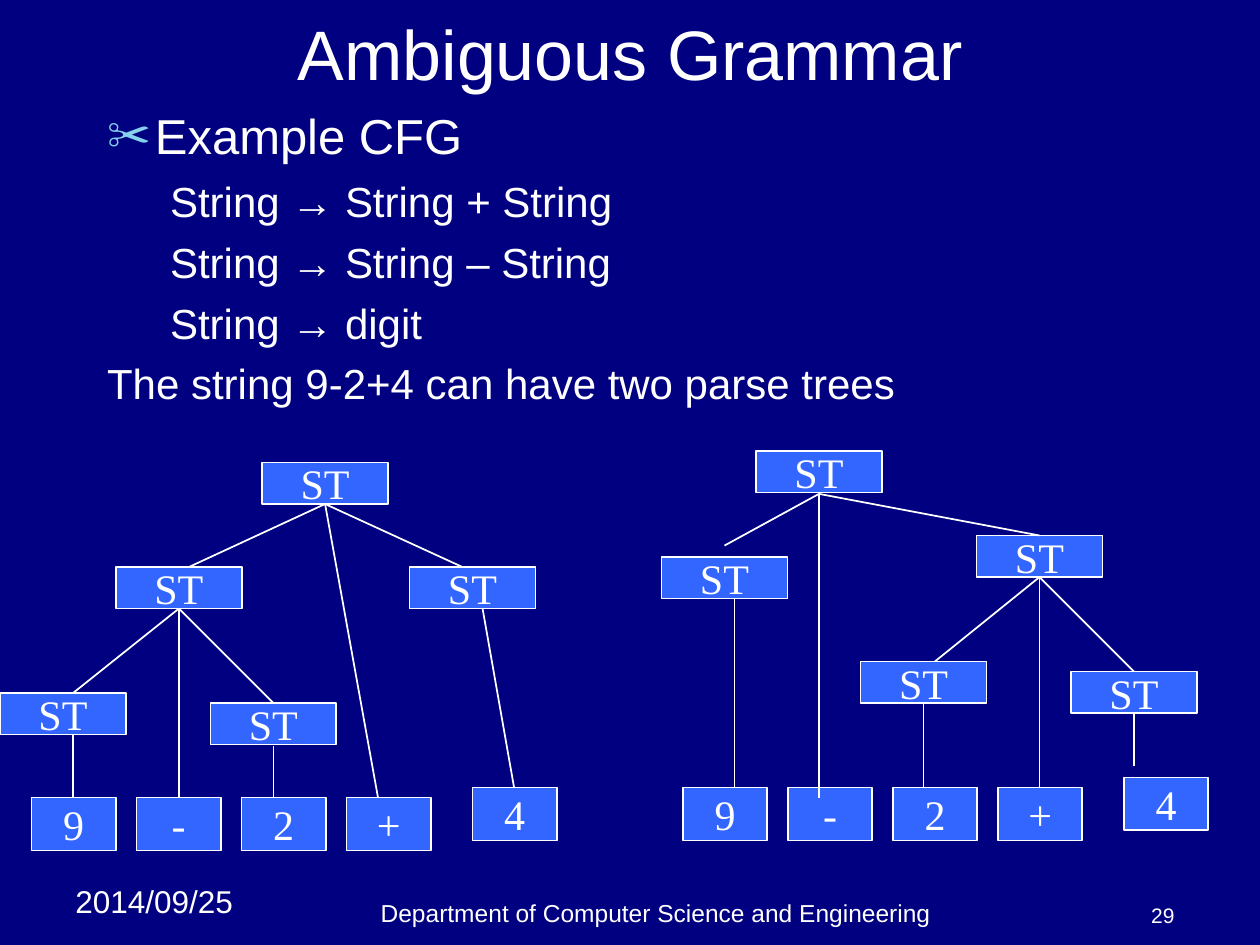
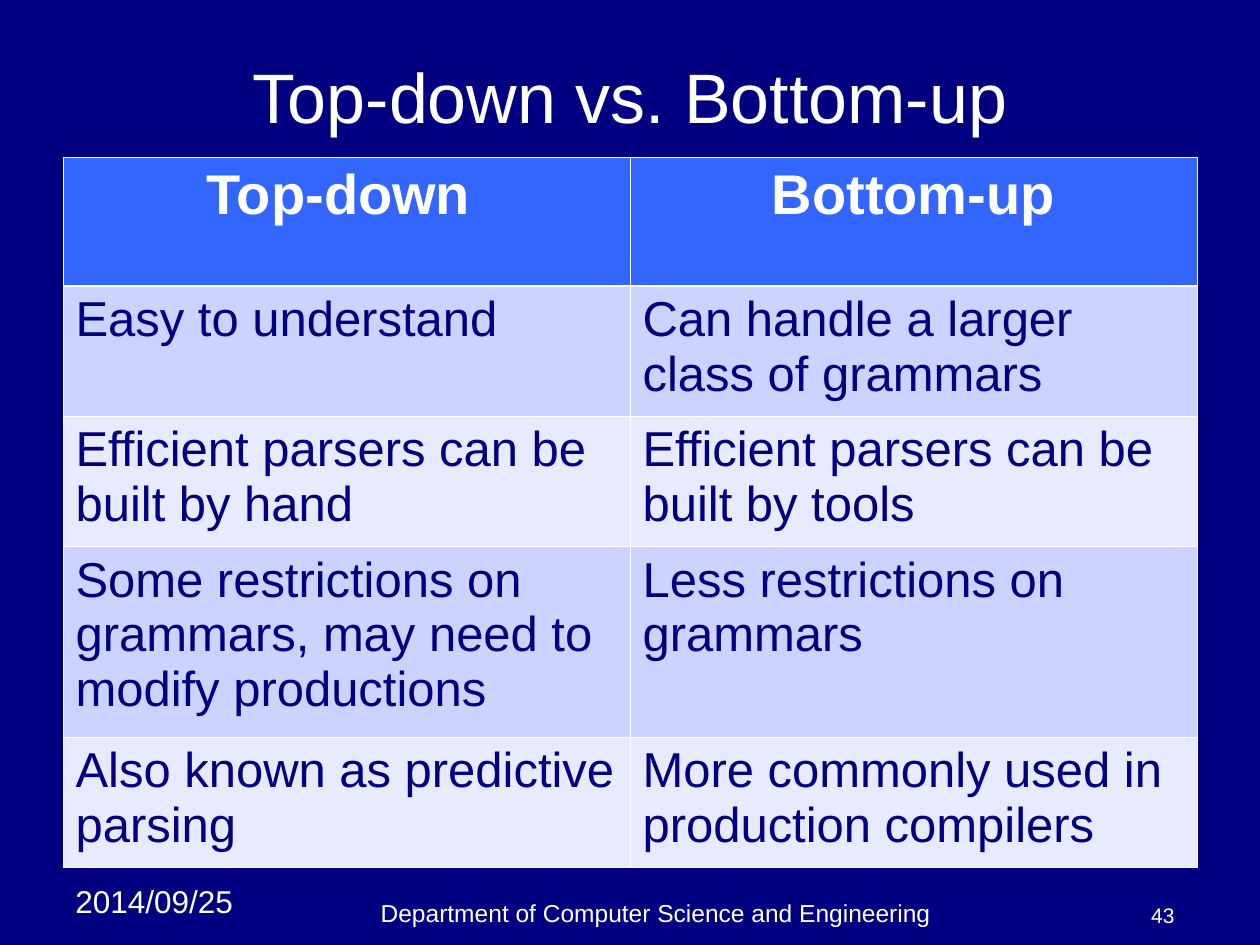
from lxml.etree import SubElement
from pptx import Presentation
from pptx.dml.color import RGBColor
from pptx.enum.shapes import MSO_CONNECTOR, MSO_SHAPE
from pptx.enum.text import MSO_ANCHOR, MSO_AUTO_SIZE, PP_ALIGN
from pptx.oxml.ns import qn
from pptx.util import Inches, Pt

# Shared style
NAVY, BLUE, WHITE, SKY = "000080", "3366FF", "FFFFFF", "86D1EC"
BANDS = ["CDD3FF", "E8EAFF"]
SANS, SERIF = "Arial", "Times New Roman"
NODE, LEAF = (1, 0.33), (0.67, 0.42)
LEFT, MID, RIGHT = PP_ALIGN.LEFT, PP_ALIGN.CENTER, PP_ALIGN.RIGHT


def color(code):
    return RGBColor.from_string(code)


def style(para, size, face=SANS, ink=WHITE, align=LEFT, bold=False):
    para.alignment = align
    font = para.font
    font.size, font.name, font.bold = Pt(size), face, bold
    font.color.rgb = color(ink)


def place(shape, left, top, width, height):
    shape.left, shape.top = Inches(left), Inches(top)
    shape.width, shape.height = Inches(width), Inches(height)


def label(slide, text, area, size, align, anchor=MSO_ANCHOR.BOTTOM):
    frame = slide.shapes.add_textbox(*map(Inches, area)).text_frame
    frame.word_wrap = True
    frame.vertical_anchor = anchor
    frame.text = text
    style(frame.paragraphs[0], size, align=align)


def start(deck, layout, title, area, number):
    """Add a slide with its title and footers."""
    slide = deck.slides.add_slide(deck.slide_layouts[layout])
    head = slide.shapes.title
    place(head, *area)
    frame = head.text_frame
    frame.text = title
    frame.auto_size = MSO_AUTO_SIZE.NONE
    frame.vertical_anchor = MSO_ANCHOR.MIDDLE
    style(frame.paragraphs[0], 40, align=MID)
    label(slide, "2014/09/25", (0.5, 6.95, 1.58, 0.4), 18, LEFT, MSO_ANCHOR.TOP)
    label(slide, "Department of Computer Science and Engineering",
          (1.83, 7.08, 6.75, 0.33), 14, MID)
    label(slide, str(number), (8.75, 7.08, 0.67, 0.33), 12, RIGHT)
    return slide


def indent(para, margin, first, mark=None):
    """Set the indents and the bullet; no mark means no bullet."""
    props = para._p.get_or_add_pPr()
    props.set("marL", str(Inches(margin)))
    props.set("indent", str(Inches(first)))
    if mark:
        tint = SubElement(props, qn("a:buClr"))
        SubElement(tint, qn("a:srgbClr"), val=SKY)
        SubElement(props, qn("a:buSzPct"), val="90000")
        SubElement(props, qn("a:buChar"), char=mark)
    else:
        SubElement(props, qn("a:buNone"))


def fill_body(slide, lines):
    body = slide.placeholders[1]
    place(body, 0.75, 0.79, 8.67, 6.21)
    frame = body.text_frame
    frame.auto_size = MSO_AUTO_SIZE.NONE
    frame.text = "\n".join(text for text, *_ in lines)
    for para, (_, level, size, mark) in zip(frame.paragraphs, lines):
        para.level = level
        para.space_before = Pt(size / 4)
        indent(para, *((0.81, -0.31) if level else (0.38, -0.38)), mark)
        style(para, size)


def box(slide, text, left, top, size):
    shape = slide.shapes.add_shape(
        MSO_SHAPE.RECTANGLE, *map(Inches, (left, top, *size)))
    shape.shadow.inherit = False
    shape.fill.solid()
    shape.fill.fore_color.rgb = color(BLUE)
    shape.line.color.rgb = color(WHITE)
    shape.line.width = Pt(1)
    frame = shape.text_frame
    frame.word_wrap = False
    frame.vertical_anchor = MSO_ANCHOR.MIDDLE
    frame.text = text
    style(frame.paragraphs[0], 24, SERIF, align=MID)


def edge(slide, tail, head):
    line = slide.shapes.add_connector(
        MSO_CONNECTOR.STRAIGHT, *map(Inches, (*tail, *head)))
    line.line.color.rgb = color(WHITE)
    line.line.width = Pt(1)
    SubElement(line._element.spPr, qn("a:effectLst"))


def tree(slide, left, top, nodes, fans):
    """Draw ST nodes, the leaves of 9-2+4, and the fans of edges."""
    for spot in nodes:
        box(slide, "ST", *spot, NODE)
    for i, sign in enumerate("9-2+"):
        box(slide, sign, left + i * 5 / 6, top, LEAF)
    box(slide, "4", left + 3.5, top - 0.08, LEAF)
    for tail, *heads in fans:
        for head in heads:
            edge(slide, tail, head)


def border(cell, first, head):
    """Thin white borders, with a thick one under the header row."""
    props = cell._tc.get_or_add_tcPr()
    for side in "LRTB":
        thick = (side == "B" and head) or (side == "T" and first)
        line = SubElement(props, qn("a:ln" + side),
                          w=str(Pt(1.47 if thick else 0.45)))
        paint = SubElement(line, qn("a:solidFill"))
        SubElement(paint, qn("a:srgbClr"), val=WHITE)


def grid(slide, rows, heights):
    frame = slide.shapes.add_table(
        len(rows), 2, *map(Inches, (0.5, 1.25, 9, sum(heights))))
    table = frame.table
    for r, (texts, height) in enumerate(zip(rows, heights)):
        table.rows[r].height = Inches(height)
        head = r == 0
        for c, text in enumerate(texts):
            cell = table.cell(r, c)
            border(cell, r == 1, head)
            cell.fill.solid()
            cell.fill.fore_color.rgb = color(BLUE if head else BANDS[(r - 1) % 2])
            cell.text = text
            para = cell.text_frame.paragraphs[0]
            if head:
                style(para, 32, align=MID, bold=True)
            else:
                style(para, 28, ink=NAVY)


def main():
    deck = Presentation()
    deck.slide_width, deck.slide_height = Inches(10), Inches(7.5)
    back = deck.slide_master.background.fill
    back.solid()
    back.fore_color.rgb = color(NAVY)

    # Grammar and its two parse trees
    slide = start(deck, 1, "Ambiguous Grammar", (0.75, 0.04, 8.5, 0.75), 29)
    fill_body(slide, [
        ("Example CFG", 0, 28, "✂"),
        ("String → String + String", 1, 24, None),
        ("String → String – String", 1, 24, None),
        ("String → digit", 1, 24, None),
        ("The string 9-2+4 can have two parse trees", 0, 24, None),
    ])
    tree(slide, 0.25, 6.33,
         [(2.08, 3.67), (0.92, 4.5), (3.25, 4.5), (0, 5.5), (1.67, 5.58)],
         [[(2.58, 4), (1.5, 4.5), (3, 6.33), (3.67, 4.5)],
          [(1.42, 4.83), (0.58, 5.5), (1.42, 6.33), (2.17, 5.58)],
          [(3.83, 4.83), (4.08, 6.25)],
          [(2.17, 5.92), (2.17, 6.33)],
          [(0.58, 5.83), (0.58, 6.33)]])
    tree(slide, 5.42, 6.25,
         [(6, 3.58), (5.25, 4.42), (7.75, 4.25), (6.83, 5.25), (8.5, 5.33)],
         [[(6.5, 3.92), (5.75, 4.33), (8.25, 4.25), (6.5, 6.33)],
          [(8.25, 4.58), (7.42, 5.25), (8.25, 6.25), (9, 5.33)],
          [(9, 5.67), (9, 6.08)],
          [(7.33, 5.58), (7.33, 6.25)],
          [(5.83, 4.75), (5.83, 6.25)]])

    # Comparison table
    slide = start(deck, 5, "Top-down vs. Bottom-up", (0.5, 0.3, 9, 0.92), 43)
    grid(slide, [
        ("Top-down ", "Bottom-up"),
        ("Easy to understand", "Can handle a larger class of grammars"),
        ("Efficient parsers can be built by hand",
         "Efficient parsers can be built by tools"),
        ("Some restrictions on grammars, may need to modify productions",
         "Less restrictions on grammars"),
        ("Also known as predictive parsing",
         "More commonly used in production compilers"),
    ], [1.02, 1.03, 1.03, 1.51, 1.03])
    deck.save("out.pptx")


if __name__ == "__main__":
    main()
